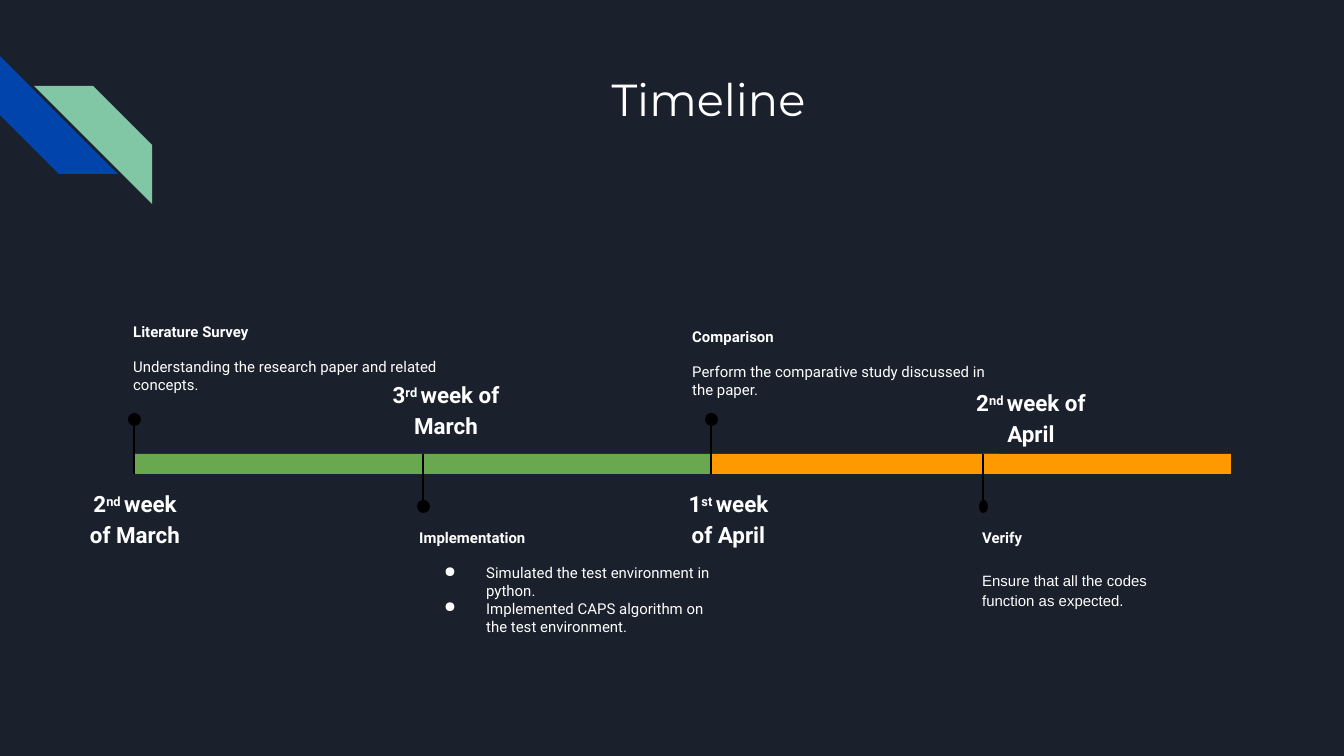
from lxml import etree
from pptx import Presentation
from pptx.dml.color import RGBColor
from pptx.enum.shapes import MSO_CONNECTOR, MSO_SHAPE
from pptx.enum.text import PP_ALIGN
from pptx.oxml.ns import qn
from pptx.util import Pt

STRAIGHT = MSO_CONNECTOR.STRAIGHT
RECT, OVAL, STRIPE = MSO_SHAPE.RECTANGLE, MSO_SHAPE.OVAL, MSO_SHAPE.DIAGONAL_STRIPE
CENTER = PP_ALIGN.CENTER
PX = 9144000 / 1344
COLORS = {"bg": "1B212C", "blue": "0145AC", "mint": "82C7A5", "text": "FFFFFF",
          "done": "6AA84F", "planned": "FF9900", "marker": "000000"}
BAR_Y, BAR_H = 454, 20

STAGES = [
    dict(x=134, w=289, color="done", up=True, dot_w=13,
         date=("2", "nd ", "week of March"), date_box=(-63, 19, 128, 55),
         title="Literature Survey", note_box=(-14, -145, 331, 138),
         lines=["Understanding the research paper and related concepts."]),
    dict(x=423, w=288, color="done", up=False, dot_w=13,
         date=("3", "rd ", "week of March"), date_box=(-53, -90, 152, 55),
         title="Implementation", note_box=(-17, 61, 331, 138), bullets=True,
         lines=["Simulated the test environment in python.",
                "Implemented CAPS algorithm on the test environment."]),
    dict(x=711, w=288, color="planned", up=True, dot_w=13,
         date=("1", "st ", "week of April"), date_box=(-47, 19, 129, 55),
         title="Comparison", note_box=(-32, -140, 331, 138),
         lines=["Perform the comparative study discussed in the paper."]),
    dict(x=983, w=248, color="planned", up=False, dot_w=9,
         date=("2", "nd ", "week of April"), date_box=(-40, -82, 176, 55),
         title="Verify", note_box=(-14, 61, 238, 138),
         lines=["Ensure that all the codes function as expected."],
         font="Arial", spacing=1.15, gap=12),
]


def px(n):
    return round(n * PX)


def rgb(name):
    return RGBColor.from_string(COLORS[name])


def add_shape(s, kind, box, color, rotation=0):
    sp = s.shapes.add_shape(kind, *map(px, box))
    sp.shadow.inherit = False
    sp.fill.solid()
    sp.fill.fore_color.rgb = rgb(color)
    sp.line.fill.background()
    sp.rotation = rotation


def add_text(s, box):
    tf = s.shapes.add_textbox(*map(px, box)).text_frame
    tf.word_wrap = True
    tf.margin_left = tf.margin_right = tf.margin_top = tf.margin_bottom = Pt(7.2)
    return tf


def style(p, size, font="Roboto", bold=False):
    p.font.size = Pt(size)
    p.font.name = font
    p.font.bold = bold
    p.font.color.rgb = rgb("text")


def add_bullet(p):
    pPr = p._p.get_or_add_pPr()
    pPr.set("marL", str(px(67)))
    pPr.set("indent", str(px(-42)))
    bullet = etree.Element(qn("a:buChar"), char="●")
    pPr.insert_element_before(bullet, "a:tabLst", "a:defRPr", "a:extLst")


def add_header(s, x, y):
    add_shape(s, STRIPE, (x, y, 118, 118), "blue", 270)
    add_shape(s, STRIPE, (x + 34, y + 30, 118, 118), "mint", 90)
    p = add_text(s, (x + 191, y + 2, 1035, 134)).paragraphs[0]
    p.text = "Timeline"
    p.alignment = CENTER
    style(p, 24, "Montserrat")


def add_marker(s, x, y, up, dot_w):
    top, dot_y = (y - 33, y - 41) if up else (y, y + 46)
    line = s.shapes.add_connector(STRAIGHT, px(x), px(top), px(x), px(top + 53))
    line.line.color.rgb = rgb("marker")
    line.line.width = Pt(0.75)
    etree.SubElement(line._element.spPr, qn("a:effectLst"))
    add_shape(s, OVAL, (x - dot_w // 2, dot_y, dot_w, 13), "marker")


def add_date(s, box, parts):
    p = add_text(s, box).paragraphs[0]
    p.alignment = CENTER
    p.line_spacing = 1.15
    style(p, 12, bold=True)
    for i, part in enumerate(parts):
        r = p.add_run()
        r.text = part
        if i == 1:
            r.font._element.set("baseline", "30000")


def add_note(s, box, title, lines, bullets=False, font="Roboto", spacing=1.0, gap=9.4):
    tf = add_text(s, box)
    p = tf.paragraphs[0]
    p.text = title
    style(p, 8, bold=True)
    for i, line in enumerate(lines):
        p = tf.add_paragraph()
        p.text = line
        p.line_spacing = spacing
        p.space_before = Pt(0 if i else gap)
        style(p, 8, font)
        if bullets:
            add_bullet(p)


def add_stage(s, y, x, w, color, up, dot_w, date, date_box, note_box, **note):
    def place(box):
        return x + box[0], y + box[1], box[2], box[3]

    add_shape(s, RECT, (x, y, w, BAR_H), color)
    add_marker(s, x, y, up, dot_w)
    add_date(s, place(date_box), date)
    add_note(s, place(note_box), **note)


def main():
    prs = Presentation()
    prs.slide_width, prs.slide_height = px(1344), px(756)
    s = prs.slides.add_slide(prs.slide_layouts[6])
    s.background.fill.solid()
    s.background.fill.fore_color.rgb = rgb("bg")
    add_header(s, 0, 56)
    for stage in STAGES:
        add_stage(s, BAR_Y, **stage)
    prs.save("out.pptx")


if __name__ == "__main__":
    main()
